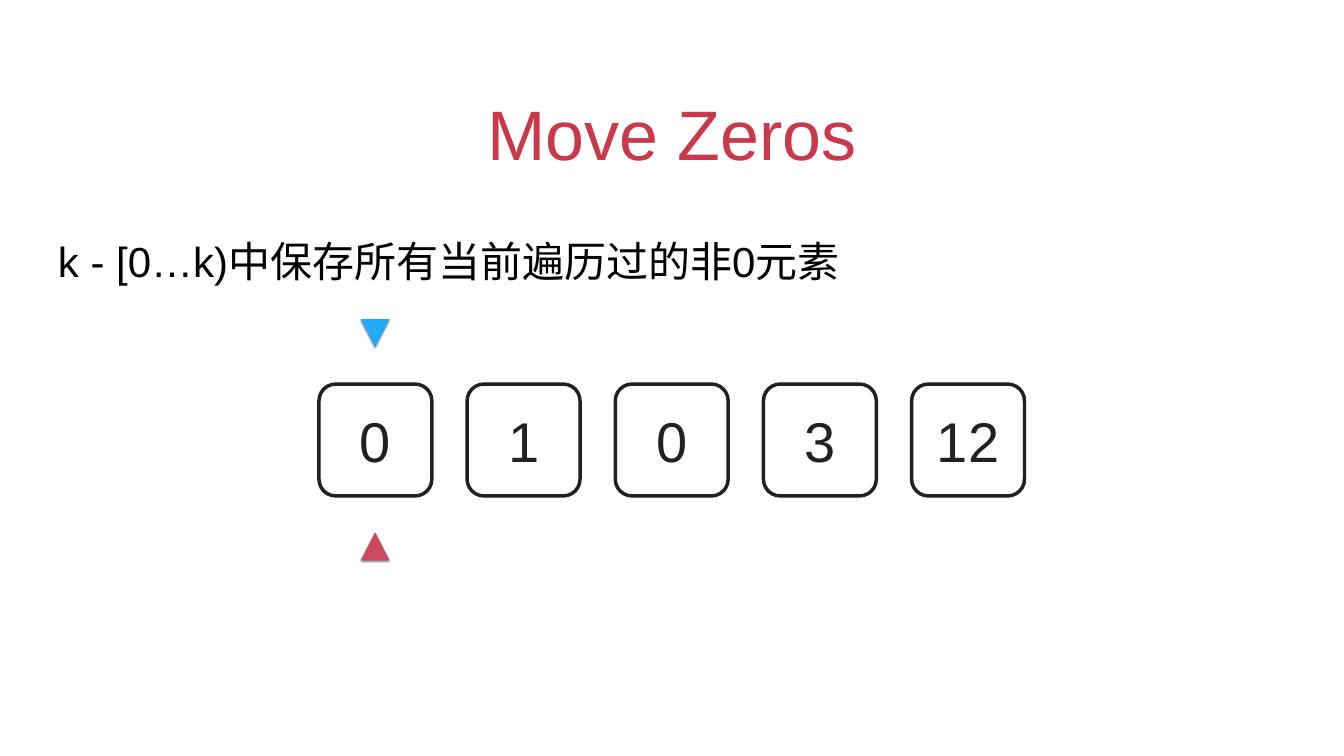
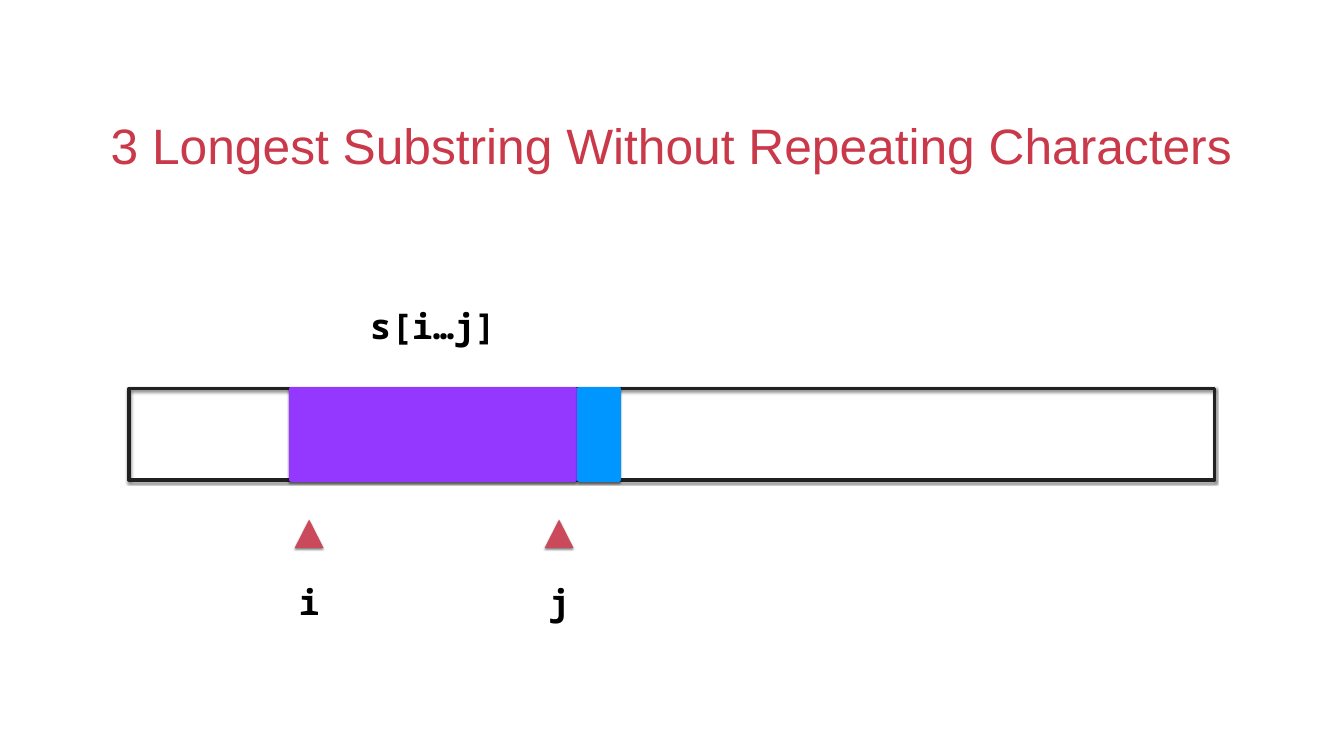
from dataclasses import dataclass
from typing import Any, Optional

from lxml import etree
from pptx import Presentation
from pptx.dml.color import RGBColor
from pptx.enum.shapes import MSO_SHAPE
from pptx.enum.text import MSO_ANCHOR, MSO_AUTO_SIZE, PP_ALIGN
from pptx.oxml.ns import qn
from pptx.util import Inches, Pt

RECT, ROUNDED = MSO_SHAPE.RECTANGLE, MSO_SHAPE.ROUNDED_RECTANGLE
CENTER = PP_ALIGN.CENTER
MIDDLE, BOTTOM = MSO_ANCHOR.MIDDLE, MSO_ANCHOR.BOTTOM
NO_FIT, GROW = MSO_AUTO_SIZE.NONE, MSO_AUTO_SIZE.SHAPE_TO_FIT_TEXT

# Shared look
TITLE_RED, POINTER_RED, POINTER_BLUE = "C9394A", "CA495A", "23A9F6"
INK, BLACK, PURPLE, BLUE = "212121", "000000", "9437FF", "0096FF"
SANS, MONO = "Arial", "Noto Sans Mono"
INSET = 0.06
OUTLINE = 5
POINTER_W, POINTER_H = 0.57, 0.56


@dataclass(frozen=True)
class Box:
    left: float
    top: float
    width: float
    height: float

    def emu(self) -> list[int]:
        return [Inches(v) for v in (self.left, self.top, self.width, self.height)]


@dataclass(frozen=True)
class Style:
    size: float
    color: str
    font: str = SANS
    bold: bool = False
    spacing: Optional[float] = None


LABEL = Style(50, BLACK, MONO, bold=True)
CELL_TEXT = Style(80, INK)


def rgb(value: str) -> RGBColor:
    return RGBColor.from_string(value)


def write(s: Any, text: str, style: Style, anchor: Any = MIDDLE,
          wrap: bool = True, fit: Any = NO_FIT) -> None:
    tf = s.text_frame
    tf.word_wrap = wrap
    tf.auto_size = fit
    tf.vertical_anchor = anchor
    tf.margin_left = tf.margin_right = tf.margin_top = tf.margin_bottom = Inches(INSET)
    p = tf.paragraphs[0]
    p.alignment = CENTER
    if style.spacing:
        p.line_spacing = style.spacing
    r = p.add_run()
    r.text = text
    r.font.name = style.font
    r.font.size = Pt(style.size)
    r.font.bold = style.bold
    r.font.color.rgb = rgb(style.color)


def drop_shadow(s: Any) -> None:
    s.shadow.inherit = False
    effects = s.element.spPr.find(qn("a:effectLst"))
    outer = etree.SubElement(effects, qn("a:outerShdw"), blurRad=str(Pt(3)),
                             dist=str(Pt(2)), dir="5400000", rotWithShape="0")
    color = etree.SubElement(outer, qn("a:srgbClr"), val=BLACK)
    etree.SubElement(color, qn("a:alpha"), val="50000")


def add_block(shapes: Any, kind: Any, box: Box, line: str,
              fill: Optional[str] = None, shadow: bool = True) -> Any:
    s = shapes.add_shape(kind, *box.emu())
    if fill:
        s.fill.solid()
        s.fill.fore_color.rgb = rgb(fill)
    else:
        s.fill.background()
    s.line.color.rgb = rgb(line)
    s.line.width = Pt(OUTLINE)
    s.shadow.inherit = False
    if shadow:
        drop_shadow(s)
    return s


def add_pointer(shapes: Any, left: float, top: float, color: str, up: bool = True) -> None:
    bottom = top + POINTER_H
    tip, base = (top, bottom) if up else (bottom, top)
    builder = shapes.build_freeform(Inches(left + POINTER_W / 2), Inches(tip))
    builder.add_line_segments([(Inches(left + POINTER_W), Inches(base)),
                               (Inches(left), Inches(base))], close=True)
    s = builder.convert_to_shape()
    s.fill.solid()
    s.fill.fore_color.rgb = rgb(color)
    s.line.fill.background()
    drop_shadow(s)


def add_label(shapes: Any, box: Box, text: str, style: Style = LABEL,
              wrap: bool = False) -> None:
    write(shapes.add_textbox(*box.emu()), text, style, wrap=wrap, fit=GROW)


def add_titled_slide(prs: Any, title: str, size: float) -> Any:
    slide = prs.slides.add_slide(prs.slide_layouts[0])
    subtitle = slide.placeholders[1].element
    subtitle.getparent().remove(subtitle)
    s = slide.shapes.title
    s.left, s.top, s.width, s.height = Box(1.94, 1.3, 22.78, 2.22).emu()
    write(s, title, Style(size, TITLE_RED), anchor=BOTTOM)
    return slide.shapes


def build_move_zeros(prs: Any) -> None:
    shapes = add_titled_slide(prs, "Move Zeros", 100)

    # Array cells
    first_left, pitch = 6.33, 2.94
    for i, value in enumerate(("0", "1", "0", "3", "12")):
        cell = add_block(shapes, ROUNDED, Box(first_left + i * pitch, 7.62, 2.24, 2.22),
                         INK, shadow=False)
        cell.adjustments[0] = 0.15
        write(cell, value, CELL_TEXT)

    # Pointers k and i start at the first cell
    add_pointer(shapes, 7.16, 10.56, POINTER_RED)
    add_pointer(shapes, 7.16, 6.33, POINTER_BLUE, up=False)
    add_label(shapes, Box(0.78, 4.29, 16.25, 1.28),
              "k - [0…k)中保存所有当前遍历过的非0元素",
              Style(60, BLACK, spacing=1.5), wrap=True)


def build_longest_substring(prs: Any) -> None:
    shapes = add_titled_slide(prs, "3 Longest Substring Without Repeating Characters", 71)
    bar_top, bar_height = 7.71, 1.81

    # String with its current window
    bar = shapes.add_group_shape().shapes
    add_block(bar, RECT, Box(2.56, bar_top, 21.54, bar_height), INK)
    add_block(bar, RECT, Box(5.77, bar_top, 5.64, bar_height), PURPLE, PURPLE)
    add_label(shapes, Box(7.28, 6, 2.63, 0.92), "s[i…j]")

    # Window ends
    for name, left in (("i", 5.85), ("j", 10.81)):
        marker = shapes.add_group_shape().shapes
        add_pointer(marker, left, 10.31, POINTER_RED)
        add_label(marker, Box(left + 0.02, 11.47, 0.54, 0.92), name)

    # Next character
    add_block(shapes, RECT, Box(11.49, bar_top, 0.79, bar_height), BLUE, BLUE)


def main() -> None:
    prs = Presentation()
    prs.slide_width, prs.slide_height = Inches(26.67), Inches(15)
    build_move_zeros(prs)
    build_longest_substring(prs)
    prs.save("out.pptx")


if __name__ == "__main__":
    main()
